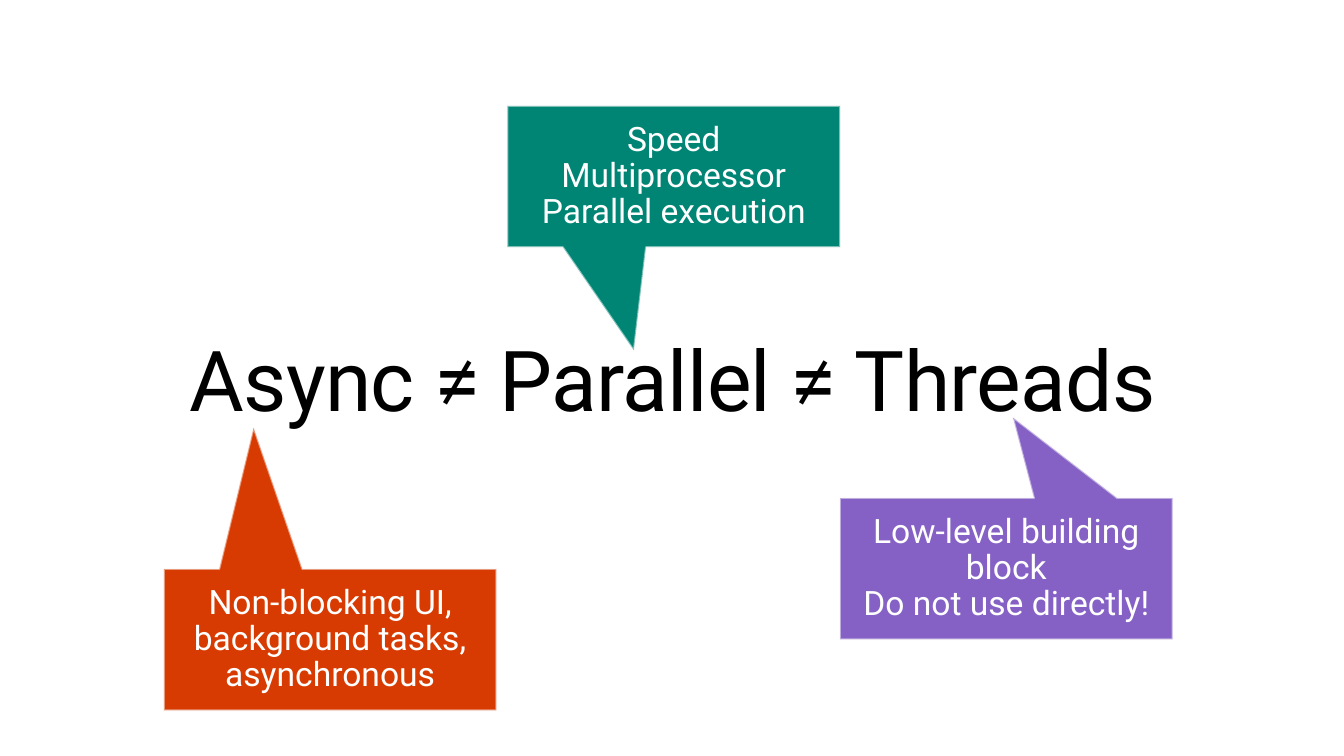
from lxml.etree import SubElement
from pptx import Presentation
from pptx.dml.color import RGBColor
from pptx.enum.shapes import MSO_SHAPE as Shape
from pptx.enum.text import MSO_ANCHOR as Anchor, MSO_AUTO_SIZE as AutoSize, PP_ALIGN as Align
from pptx.oxml.ns import qn
from pptx.util import Cm, Pt

FONT = "Roboto"
BLACK = RGBColor(0x00, 0x00, 0x00)
WHITE = RGBColor(0xFF, 0xFF, 0xFF)
OUTLINE = RGBColor(0xF9, 0xF9, 0xF9)
ORANGE = RGBColor(0xD8, 0x3B, 0x01)
GREEN = RGBColor(0x00, 0x85, 0x75)
PURPLE = RGBColor(0x86, 0x61, 0xC5)

CALLOUT_WIDTH, CALLOUT_HEIGHT = 8.38, 3.56

# Left and top in cm, tip offset from the centre as a share of the size, fill, lines
CALLOUTS = [
    (4.13, 14.34, (-0.23, -1.5), ORANGE,
     ["Non-blocking UI, background tasks,", "asynchronous"]),
    (12.79, 2.67, (-0.12, 1.23), GREEN,
     ["Speed", "Multiprocessor", "Parallel execution"]),
    (21.17, 12.55, (0.02, -1.07), PURPLE,
     ["Low-level building block", "Do not use directly!"]),
]


def set_font(paragraph, size, color):
    paragraph.alignment = Align.CENTER
    paragraph.font.name = FONT
    paragraph.font.size = Pt(size)
    paragraph.font.color.rgb = color


def set_margins(frame, horizontal, vertical):
    frame.margin_left = frame.margin_right = Cm(horizontal)
    frame.margin_top = frame.margin_bottom = Cm(vertical)


def add_title(slide, text, left, top, width, height):
    title = slide.shapes.title
    title.left, title.top, title.width, title.height = map(Cm, (left, top, width, height))
    frame = title.text_frame
    frame.text = text
    frame.word_wrap = True
    frame.auto_size = AutoSize.SHAPE_TO_FIT_TEXT
    frame.vertical_anchor = Anchor.TOP
    set_margins(frame, 0, 0)
    paragraph = frame.paragraphs[0]
    set_font(paragraph, 60, BLACK)
    # Tighten the letters by half a point
    paragraph.runs[0].font._element.set("spc", "-50")


def add_callout(slide, left, top, tip, fill, lines):
    callout = slide.shapes.add_shape(
        Shape.RECTANGULAR_CALLOUT, Cm(left), Cm(top), Cm(CALLOUT_WIDTH), Cm(CALLOUT_HEIGHT))
    callout.shadow.inherit = False
    callout.adjustments[0], callout.adjustments[1] = tip
    callout.fill.solid()
    callout.fill.fore_color.rgb = fill

    # Half-transparent outline
    callout.line.width = Pt(1.35)
    callout.line.color.rgb = OUTLINE
    line_color = callout.line._ln.find(f".//{qn('a:srgbClr')}")
    SubElement(line_color, qn("a:alpha"), val="50000")

    # Text, one paragraph per line
    frame = callout.text_frame
    frame.word_wrap = True
    frame.vertical_anchor = Anchor.MIDDLE
    set_margins(frame, 0.51, 0.41)
    frame.text = "\n".join(lines)
    for paragraph in frame.paragraphs:
        set_font(paragraph, 24, WHITE)
        paragraph.line_spacing = 0.9


def main():
    presentation = Presentation()
    presentation.slide_width, presentation.slide_height = Cm(33.87), Cm(19.05)
    title_only = presentation.slide_layouts[5]
    slide = presentation.slides.add_slide(title_only)
    add_title(slide, "Async ≠ Parallel ≠ Threads", 3.66, 8.26, 26.57, 2.57)
    for callout in CALLOUTS:
        add_callout(slide, *callout)
    presentation.save("out.pptx")


if __name__ == "__main__":
    main()
